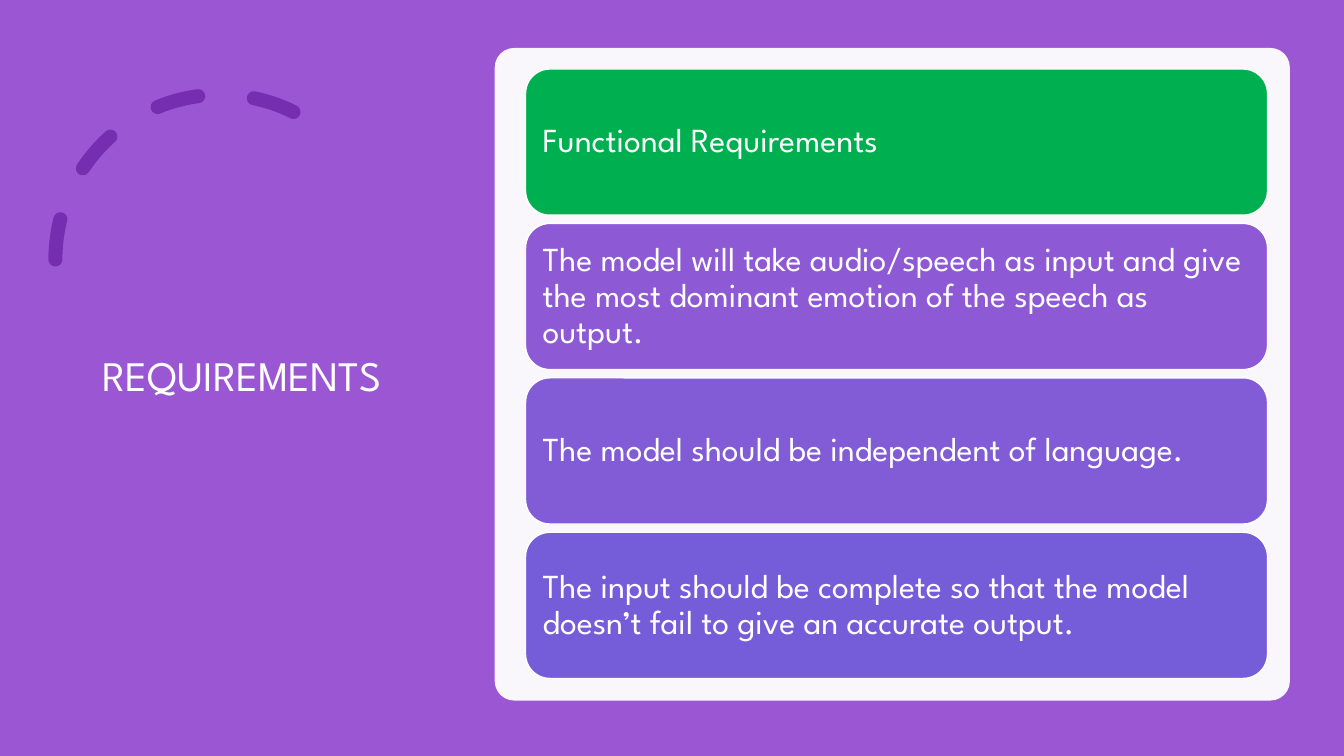
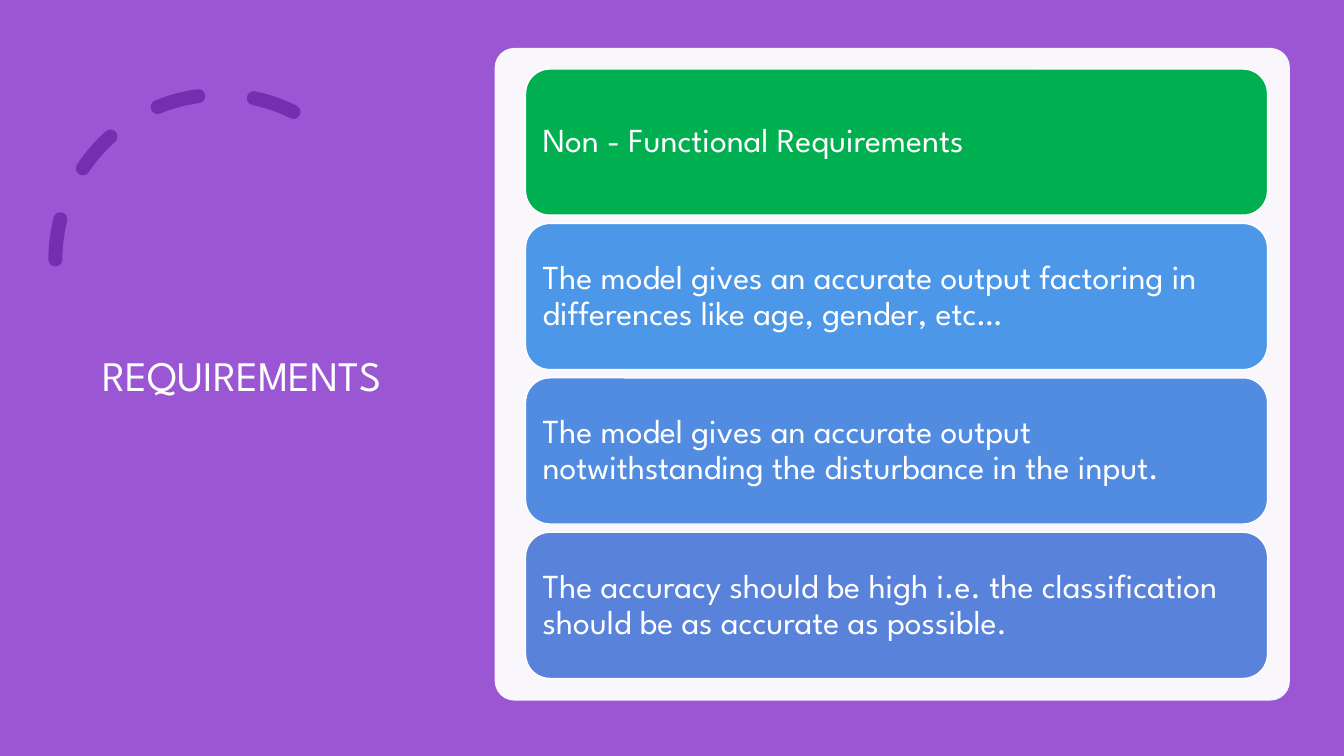
from pptx import Presentation
from pptx.dml.color import RGBColor
from pptx.enum.dml import MSO_LINE
from pptx.enum.shapes import MSO_SHAPE
from pptx.enum.text import MSO_ANCHOR, MSO_AUTO_SIZE, PP_ALIGN
from pptx.oxml.ns import qn
from pptx.util import Pt
from lxml.etree import SubElement

WHITE = RGBColor(0xFF, 0xFF, 0xFF)
PURPLE = RGBColor(0x9B, 0x57, 0xD3)
DARK_PURPLE = RGBColor(0x76, 0x2E, 0xB1)
GREEN = RGBColor(0x00, 0xB0, 0x50)
VIOLETS = [RGBColor(0x8E, 0x59, 0xD5), RGBColor(0x82, 0x5B, 0xD7), RGBColor(0x75, 0x5D, 0xD9)]
BLUES = [RGBColor(0x4C, 0x97, 0xE7), RGBColor(0x52, 0x8C, 0xE1), RGBColor(0x59, 0x82, 0xDB)]

FONT = "League Spartan"
CARD_TOP, CARD_HEIGHT, CARD_PITCH = 49.3, 104.4, 110.3

REQUIREMENTS = [
    ("Functional Requirements", VIOLETS, [
        "The model will take audio/speech as input and give the most dominant emotion "
        "of the speech as output.",
        "The model should be independent of language.",
        "The input should be complete so that the model doesn’t fail to give an accurate output.",
    ]),
    ("Non - Functional Requirements", BLUES, [
        "The model gives an accurate output factoring in differences like age, gender, etc…",
        "The model gives an accurate output notwithstanding the disturbance in the input.",
        "The accuracy should be high i.e. the classification should be as accurate as possible.",
    ]),
]


def write_text(shape, text, size=24, color=WHITE, margin=7.2):
    """Put left-aligned, vertically centred text into a shape."""
    frame = shape.text_frame
    frame.word_wrap = True
    frame.auto_size = MSO_AUTO_SIZE.NONE
    frame.vertical_anchor = MSO_ANCHOR.MIDDLE
    frame.margin_left = frame.margin_right = Pt(margin)
    frame.margin_top = frame.margin_bottom = Pt(margin)
    paragraph = frame.paragraphs[0]
    paragraph.alignment = PP_ALIGN.LEFT
    paragraph.line_spacing = 0.9
    run = paragraph.add_run()
    run.text = text
    run.font.name = FONT
    run.font.size = Pt(size)
    run.font.color.rgb = color


class Deck:
    """Holds the presentation, its style and the current slide."""

    def __init__(self):
        """Set the slide size and the shared background."""
        self.presentation = Presentation()
        self.presentation.slide_width = Pt(960)
        self.presentation.slide_height = Pt(540)
        self.layout = self.presentation.slide_layouts.get_by_name("Title Only")
        fill = self.layout.background.fill
        fill.solid()
        fill.fore_color.rgb = PURPLE
        self.slide = None

    def new_slide(self, title):
        """Start a slide with its title, dashed arc and panel."""
        self.slide = self.presentation.slides.add_slide(self.layout)
        self.title(title)
        self.dashed_arc(39.6, 67.7, 235.4)
        self.panel(353.4, 34.2, 568, 466.2)

    def title(self, text):
        """Place and fill the title placeholder."""
        title = self.slide.shapes.title
        title.left, title.top = Pt(66.24), Pt(50.4)
        title.width, title.height = Pt(232.6), Pt(438.5)
        write_text(title, text, size=30)

    def shape(self, kind, left, top, width, height, fill=None):
        """Add a flat preset shape without an outline."""
        shape = self.slide.shapes.add_shape(kind, Pt(left), Pt(top), Pt(width), Pt(height))
        shape.shadow.inherit = False
        if fill is None:
            shape.fill.background()
        else:
            shape.fill.solid()
            shape.fill.fore_color.rgb = fill
        shape.line.fill.background()
        return shape

    def outline(self, shape, color, width):
        """Give a shape a solid outline."""
        shape.line.color.rgb = color
        shape.line.width = Pt(width)

    def dashed_arc(self, left, top, diameter):
        """Add the mirrored arc with round dashes."""
        arc = self.shape(MSO_SHAPE.ARC, left, top, diameter, diameter)
        arc.adjustments[0] = 146.13
        arc.adjustments[1] = 0
        self.outline(arc, DARK_PURPLE, 10)
        arc.line.dash_style = MSO_LINE.DASH
        properties = arc.element.spPr
        properties.find(qn("a:xfrm")).set("flipH", "1")
        properties.find(qn("a:ln")).set("cap", "rnd")

    def panel(self, left, top, width, height):
        """Add the slightly transparent white panel."""
        panel = self.shape(MSO_SHAPE.ROUNDED_RECTANGLE, left, top, width, height, WHITE)
        panel.adjustments[0] = 0.03
        color = panel.element.spPr.find(qn("a:solidFill")).find(qn("a:srgbClr"))
        SubElement(color, qn("a:alpha")).set("val", "95000")

    def card(self, row, text, fill):
        """Add one rounded card in the given row of the panel."""
        top = CARD_TOP + row * CARD_PITCH
        card = self.shape(MSO_SHAPE.ROUNDED_RECTANGLE, 375.4, top, 530, CARD_HEIGHT, fill)
        self.outline(card, WHITE, 1)
        write_text(card, text)


def main():
    """Build one slide for each group of requirements."""
    deck = Deck()
    for heading, colors, items in REQUIREMENTS:
        deck.new_slide("REQUIREMENTS")
        for row, (text, color) in enumerate(zip([heading, *items], [GREEN, *colors])):
            deck.card(row, text, color)
    deck.presentation.save("out.pptx")


main()
